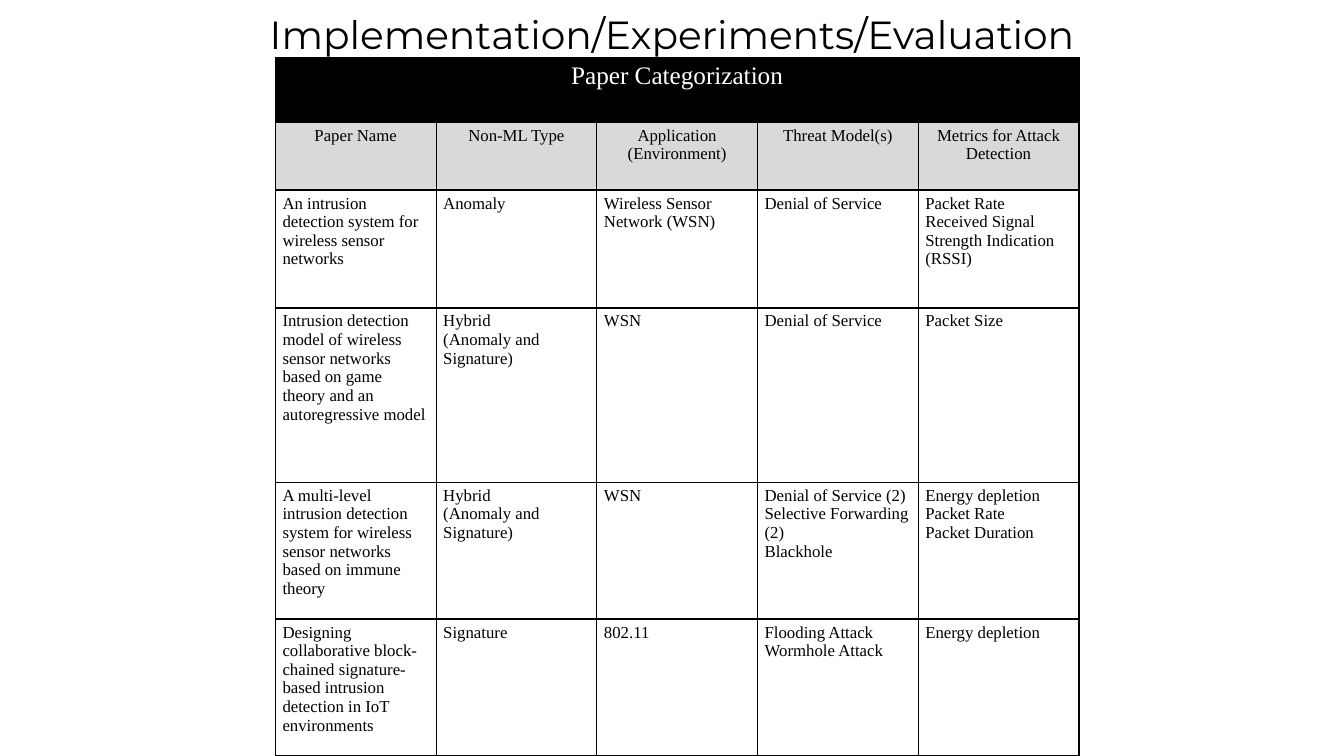
from lxml import etree
from pptx import Presentation
from pptx import util as u
from pptx.dml.color import RGBColor
from pptx.enum import text
from pptx.oxml.ns import qn

COLORS = {"ink": "000000", "paper": "FFFFFF", "heading": "D9D9D9"}
SERIF = "Times New Roman"
CENTER, LEFT = text.PP_ALIGN.CENTER, text.PP_ALIGN.LEFT

BANNER = "Paper Categorization"
HEADINGS = ["Paper Name", "Non-ML Type", "Application (Environment)",
            "Threat Model(s)", "Metrics for Attack\nDetection"]
HYBRID = "Hybrid\n(Anomaly and Signature)"
PAPERS = [
    ["An intrusion detection system for wireless sensor networks", "Anomaly",
     "Wireless Sensor Network (WSN)", "Denial of Service",
     "Packet Rate\nReceived Signal Strength Indication (RSSI)"],
    ["Intrusion detection model of wireless sensor networks based on game "
     "theory and an autoregressive model", HYBRID, "WSN",
     "Denial of Service", "Packet Size"],
    ["A multi-level intrusion detection system for wireless sensor networks "
     "based on immune theory", HYBRID, "WSN",
     "Denial of Service (2)\nSelective Forwarding (2)\nBlackhole",
     "Energy depletion\nPacket Rate\nPacket Duration"],
    ["Designing collaborative block-chained signature-based intrusion "
     "detection in IoT environments", "Signature", "802.11",
     "Flooding Attack\nWormhole Attack", "Energy depletion"],
]
ROW_HEIGHTS = [1.63, 1.71, 2.97, 4.39, 3.45, 3.45]


def write(frame, words, font=SERIF, size=12, color="ink", align=LEFT):
    """Put words in a text frame, one paragraph per line."""
    frame.text = words
    frame.word_wrap = True
    for paragraph in frame.paragraphs:
        paragraph.alignment = align
        for run in paragraph.runs:
            run.font.name = font
            run.font.size = u.Pt(size)
            run.font.bold = False
            run.font.color.rgb = RGBColor.from_string(COLORS[color])


def add_borders(cell, color="ink", width=1):
    """Draw a solid line on all four sides of a cell."""
    properties = cell._tc.get_or_add_tcPr()
    for place, side in enumerate(("a:lnL", "a:lnR", "a:lnT", "a:lnB")):
        line = etree.Element(qn(side), w=str(u.Pt(width)))
        fill = etree.SubElement(line, qn("a:solidFill"))
        etree.SubElement(fill, qn("a:srgbClr"), val=COLORS[color])
        properties.insert(place, line)


def style_cell(cell, words, fill="paper", **form):
    """Fill, frame and write one cell."""
    cell.margin_left = cell.margin_right = u.Cm(0.18)
    cell.margin_top = cell.margin_bottom = u.Cm(0.1)
    cell.fill.solid()
    cell.fill.fore_color.rgb = RGBColor.from_string(COLORS[fill])
    add_borders(cell)
    write(cell.text_frame, words, **form)


def place_title(slide, left, top, width, height):
    """Move the title placeholder to its box and write the heading."""
    title = slide.shapes.title
    title.left, title.top = u.Cm(left), u.Cm(top)
    title.width, title.height = u.Cm(width), u.Cm(height)
    write(title.text_frame, "Implementation/Experiments/Evaluation",
          font="Montserrat", size=28, align=CENTER)
    title.text_frame.vertical_anchor = text.MSO_ANCHOR.TOP
    title.text_frame.auto_size = text.MSO_AUTO_SIZE.NONE


def place_papers(slide, left, top, width):
    """Build the table of papers in equal columns under a full-width banner."""
    columns = len(HEADINGS)
    table = slide.shapes.add_table(
        len(ROW_HEIGHTS), columns, u.Cm(left), u.Cm(top),
        u.Cm(width), u.Cm(sum(ROW_HEIGHTS))).table
    table.first_row = table.horz_banding = False
    for row, height in zip(table.rows, ROW_HEIGHTS):
        row.height = u.Cm(height)
    for column in table.columns:
        column.width = u.Cm(width / columns)

    table.cell(0, 0).merge(table.cell(0, columns - 1))
    for c in range(columns):
        style_cell(table.cell(0, c), "" if c else BANNER, fill="ink",
                   size=18, color="paper", align=CENTER)
        style_cell(table.cell(1, c), HEADINGS[c], fill="heading", align=CENTER)
        for r, paper in enumerate(PAPERS, start=2):
            style_cell(table.cell(r, c), paper[c])


def build():
    """Make the one-slide deck and save it."""
    deck = Presentation()
    deck.slide_width, deck.slide_height = u.Cm(33.87), u.Cm(19.05)
    slide = deck.slides.add_slide(deck.slide_layouts[5])
    place_title(slide, 0, 0.13, 33.87, 3.84)
    place_papers(slide, 6.94, 1.45, 20.25)
    deck.save("out.pptx")


build()
